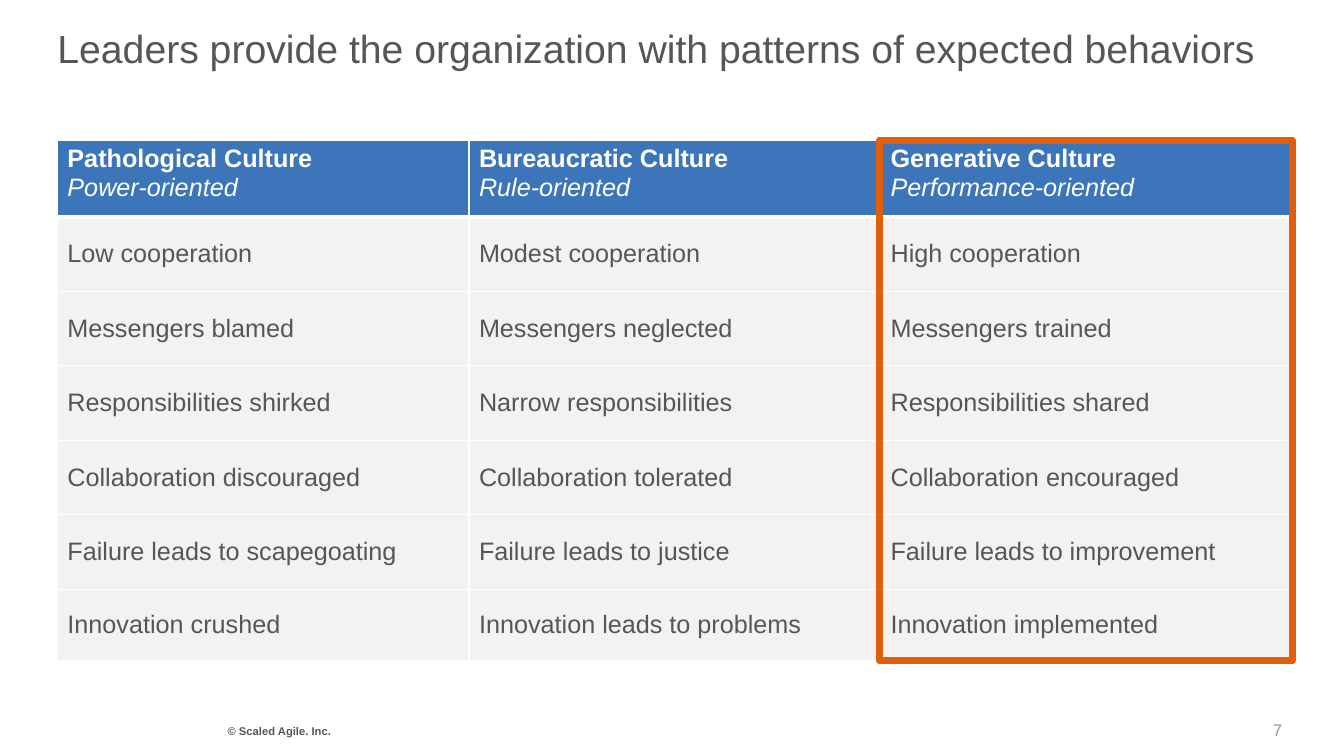
import pptx
import pptx.dml.color
import pptx.enum.shapes
import pptx.enum.text
import pptx.oxml
import pptx.oxml.ns
import pptx.util
from dataclasses import dataclass

Pt = pptx.util.Pt
MIDDLE = pptx.enum.text.MSO_ANCHOR.MIDDLE
RIGHT = pptx.enum.text.PP_ALIGN.RIGHT


@dataclass(frozen=True)
class Theme:
    font: str = "Arial"
    ink: str = "565656"
    muted: str = "9A9A9A"
    white: str = "FFFFFF"
    header: str = "3C75BA"
    body: str = "F2F2F2"
    highlight: str = "E05E0D"
    title_size: int = 28
    table_size: int = 18
    number_size: int = 12
    copyright_size: int = 8


theme = Theme()


def style(paragraph, size, color):
    paragraph.font.name = theme.font
    paragraph.font.size = Pt(size)
    paragraph.font.color.rgb = pptx.dml.color.RGBColor.from_string(color)


def add_text(text, box, size, color, wrap=False):
    """Add a one-paragraph text box; box is left, top, width, height in points."""
    frame = slide.shapes.add_textbox(*map(Pt, box)).text_frame
    frame.word_wrap = wrap
    frame.vertical_anchor = MIDDLE
    paragraph = frame.paragraphs[0]
    paragraph.text = text
    style(paragraph, size, color)
    return frame


cultures = [
    ("Pathological Culture", "Power-oriented"),
    ("Bureaucratic Culture", "Rule-oriented"),
    ("Generative Culture", "Performance-oriented"),
]
behaviors = [
    ("Low cooperation", "Modest cooperation", "High cooperation"),
    ("Messengers blamed", "Messengers neglected", "Messengers trained"),
    ("Responsibilities shirked", "Narrow responsibilities", "Responsibilities shared"),
    ("Collaboration discouraged", "Collaboration tolerated", "Collaboration encouraged"),
    ("Failure leads to scapegoating", "Failure leads to justice", "Failure leads to improvement"),
    ("Innovation crushed", "Innovation leads to problems", "Innovation implemented"),
]
left, top, column_width = 41, 100, 294
row_heights = [55] + [53.2] * 5 + [51]
table_width, table_height = column_width * len(cultures), sum(row_heights)

presentation = pptx.Presentation()
presentation.slide_width, presentation.slide_height = Pt(960), Pt(540)
slide = presentation.slides.add_slide(presentation.slide_layouts[6])

# Title
title = add_text("Leaders provide the organization with patterns of expected behaviors",
                 (left, 18, 866, 33), theme.title_size, theme.ink)
title.margin_left = title.margin_right = title.margin_bottom = 0
title.margin_top = Pt(3)
title.paragraphs[0].line_spacing = 0.9

# Culture table
table = slide.shapes.add_table(len(row_heights), len(cultures), Pt(left), Pt(top),
                               Pt(table_width), Pt(table_height)).table
table.horz_banding = False
for column in table.columns:
    column.width = Pt(column_width)
for row, height in zip(table.rows, row_heights):
    row.height = Pt(height)

for r, entries in enumerate([cultures] + behaviors):
    for c, entry in enumerate(entries):
        cell = table.cell(r, c)
        border_widths = {"L": 1, "R": 1, "T": 3 if r == 1 else 1, "B": 3 if r == 0 else 1}
        for side, width in border_widths.items():
            cell._tc.get_or_add_tcPr().append(pptx.oxml.parse_xml(
                f'<a:ln{side} {pptx.oxml.ns.nsdecls("a")} w="{Pt(width)}"><a:solidFill>'
                f'<a:srgbClr val="{theme.white}"/></a:solidFill></a:ln{side}>'))
        cell.fill.solid()
        cell.fill.fore_color.rgb = pptx.dml.color.RGBColor.from_string(
            theme.header if r == 0 else theme.body)
        paragraph = cell.text_frame.paragraphs[0]
        if r == 0:
            culture, orientation = entry
            name_run = paragraph.add_run()
            name_run.text = culture
            name_run.font.bold = True
            paragraph.add_line_break()
            orientation_run = paragraph.add_run()
            orientation_run.text = orientation
            orientation_run.font.bold = False
            orientation_run.font.italic = True
            style(paragraph, theme.table_size, theme.white)
        else:
            cell.vertical_anchor = MIDDLE
            paragraph.text = entry
            paragraph.font.bold = False
            style(paragraph, theme.table_size, theme.ink)

# Frame around the generative culture
highlight = slide.shapes.add_shape(
    pptx.enum.shapes.MSO_SHAPE.RECTANGLE, Pt(left + 2 * column_width - 1), Pt(top),
    Pt(column_width + 1), Pt(table_height))
highlight.shadow.inherit = False
highlight.fill.background()
highlight.line.color.rgb = pptx.dml.color.RGBColor.from_string(theme.highlight)
highlight.line.width = Pt(5)

# Footer
copyright_line = add_text("© Scaled Agile. Inc.", (155.5, 514, 90, 17),
                          theme.copyright_size, theme.ink)
copyright_line.paragraphs[0].font.bold = True
page_number = add_text("7", (775, 511, 148, 20), theme.number_size, theme.muted, wrap=True)
page_number.paragraphs[0].alignment = RIGHT

presentation.save("out.pptx")
